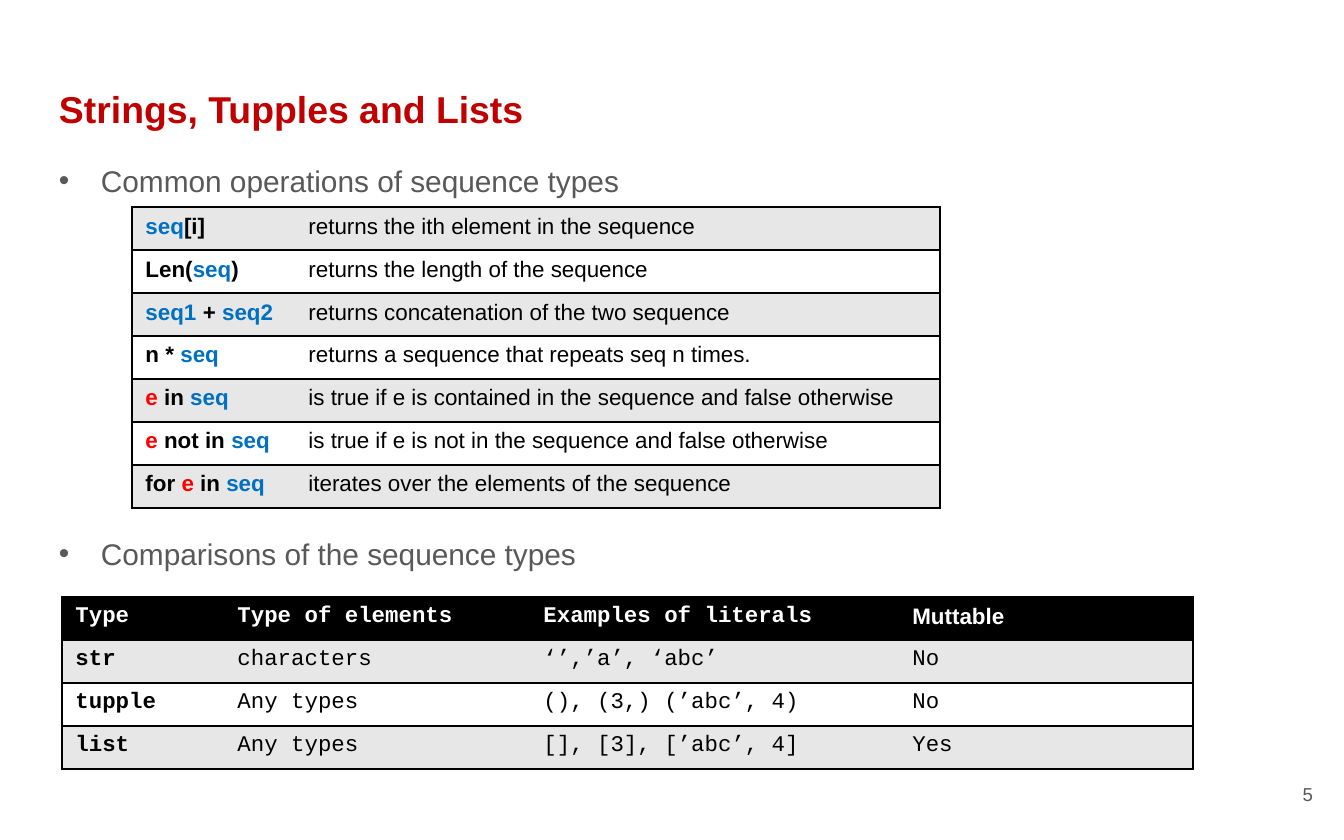
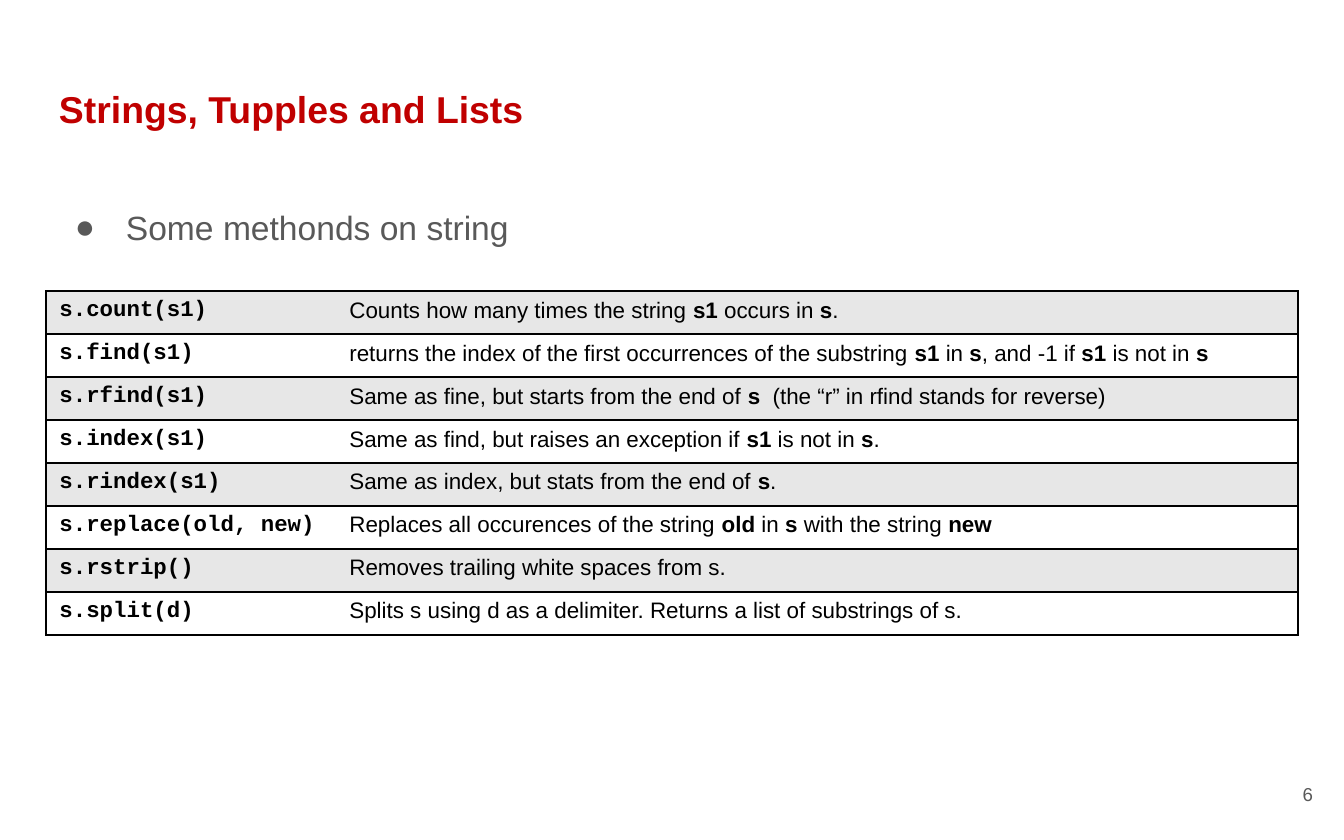
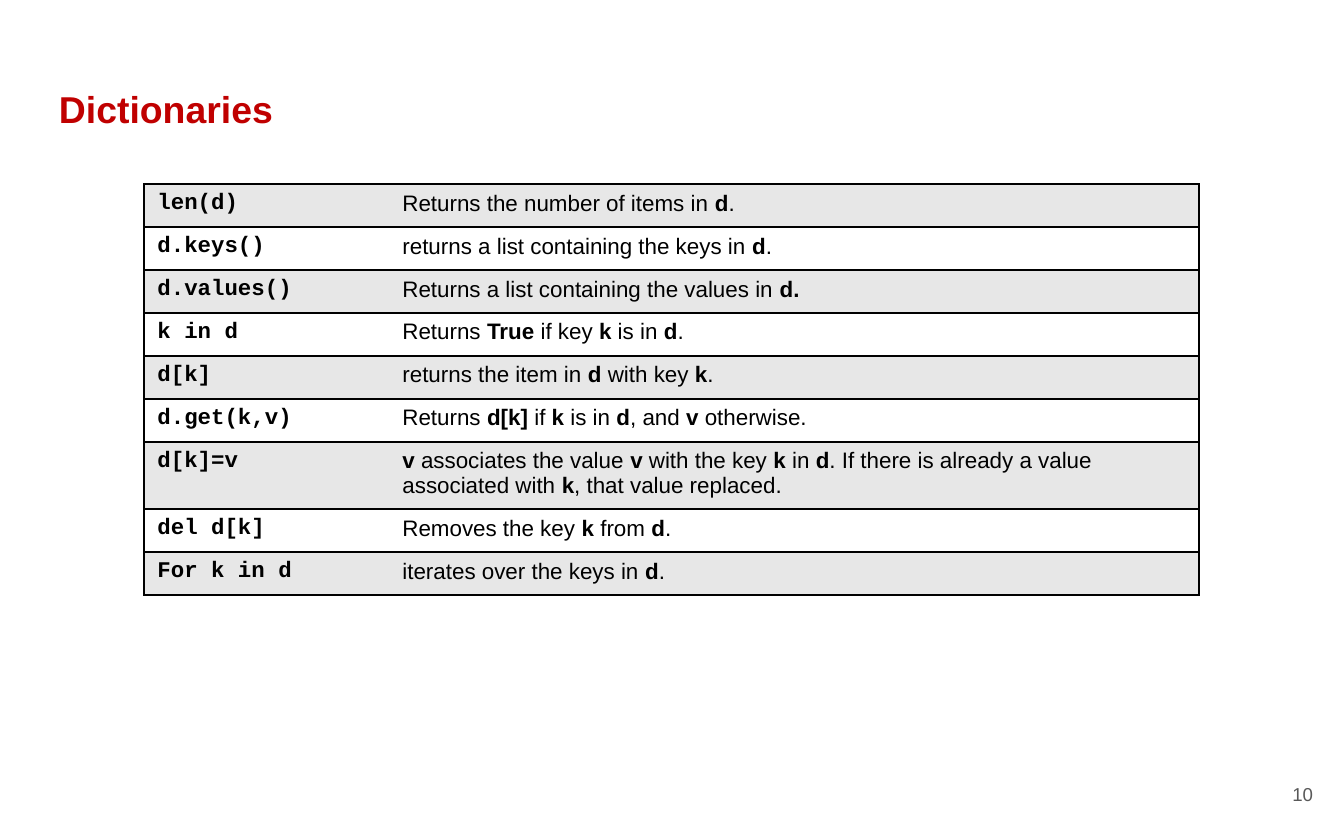
from pptx import Presentation
from pptx.dml.color import RGBColor
from pptx.enum.text import MSO_ANCHOR, PP_ALIGN
from pptx.oxml.ns import qn
from pptx.util import Pt
from lxml import etree

TOP, MIDDLE = MSO_ANCHOR.TOP, MSO_ANCHOR.MIDDLE
LEFT, RIGHT = PP_ALIGN.LEFT, PP_ALIGN.RIGHT
SANS, CODE = "Arial", "Courier New"
HEX = {"title": "C00000", "gray": "595959", "ink": "000000", "blue": "0070C0",
       "red": "FF0000", "band": "E7E7E7", "white": "FFFFFF"}
SCALE = 914400 / 134.4
ROW, INSET = 43, 13

# Text between bars is marked: bold in prose, coloured in a key, sans in a header.
SEQ = {"at": (132, 207), "cols": (163, 645), "code": 0, "rows": [
    ("|seq|[i]", "returns the ith element in the sequence"),
    ("Len(|seq|)", "returns the length of the sequence"),
    ("|seq1 |+ |seq2|", "returns concatenation of the two sequence"),
    ("n * |seq|", "returns a sequence that repeats seq n times."),
    ("|e| in |seq|", "is true if e is contained in the sequence and false otherwise"),
    ("|e| not in |seq|", "is true if e is not in the sequence and false otherwise"),
    ("for |e| in |seq|", "iterates over the elements of the sequence"),
]}
TYPES = {"at": (62, 597), "cols": (162, 306, 369, 294), "code": 4, "head": True, "rows": [
    ("Type", "Type of elements", "Examples of literals", "|Muttable|"),
    ("str", "characters", "‘’,’a’, ‘abc’", "No"),
    ("tupple", "Any types", "(), (3,) (’abc’, 4)", "No"),
    ("list", "Any types", "[], [3], [’abc’, 4]", "Yes"),
]}
STRINGS = {"at": (46, 291), "cols": (290, 962), "code": 1, "rows": [
    ("s.count(s1)", "Counts how many times the string |s1| occurs in |s|."),
    ("s.find(s1)", "returns the index of the first occurrences of the substring "
                   "|s1| in |s|, and -1 if |s1| is not in |s|"),
    ("s.rfind(s1)", "Same as fine, but starts from the end of |s|  "
                    "(the “r” in rfind stands for reverse)"),
    ("s.index(s1)", "Same as find, but raises an exception if |s1| is not in |s|."),
    ("s.rindex(s1)", "Same as index, but stats from the end of |s|."),
    ("s.replace(old, new)", "Replaces all occurences of the string |old| in| s |"
                            "with the string |new|"),
    ("s.rstrip()", "Removes trailing white spaces from s."),
    ("s.split(d)", "Splits s using d as a delimiter. Returns a list of substrings of s."),
]}
DICTS = {"at": (144, 184), "cols": (245, 810), "code": 1, "tall": {6: 63}, "rows": [
    ("len(d)", "Returns the number of items in| d|."),
    ("d.keys()", "returns a list containing the keys in| d|."),
    ("d.values()", "Returns a list containing the values in |d.|"),
    ("k in d", "Returns |True| if key |k| is in |d|."),
    ("d[k]", "returns the item in |d| with key |k|."),
    ("d.get(k,v)", "Returns| d[k] |if |k| is in |d|, and |v| otherwise."),
    ("d[k]=v", "|v| associates the value |v| with the key |k| in |d|. If there is "
               "already a value associated with |k|, that value replaced."),
    ("del d[k]", "Removes the key |k| from |d|."),
    ("For k in d", "iterates over the keys in |d|."),
]}
SLIDES = [
    {"title": "Strings, Tupples and Lists", "page": "5", "tables": [SEQ, TYPES],
     "body": {"at": (46, 144, 1253, 656), "size": 16, "sign": "•", "left": 42,
              "hang": 42, "gap": 332,
              "lines": ["Common operations of sequence types",
                        "Comparisons of the sequence types"]}},
    {"title": "Strings, Tupples and Lists", "page": "6", "tables": [STRINGS],
     "body": {"at": (46, 188, 1253, 558), "size": 18, "sign": "●", "left": 67,
              "hang": 51, "gap": 0, "lines": ["Some methonds on string"]}},
    {"title": "Dictionaries", "page": "10", "tables": [DICTS]},
]


def px(n):
    return round(n * SCALE)


def add_run(para, text, size, color, bold=False, font=SANS):
    run = para.add_run()
    run.text = text
    run.font.size, run.font.bold, run.font.name = Pt(size), bold, font
    run.font.color.rgb = RGBColor.from_string(HEX[color])


def set_frame(shape, at, anchor):
    shape.left, shape.top, shape.width, shape.height = map(px, at)
    frame = shape.text_frame
    frame.word_wrap, frame.vertical_anchor = True, anchor
    frame.margin_left = frame.margin_right = px(INSET)
    frame.margin_top = frame.margin_bottom = px(INSET)
    return frame


def add_text(slide, at, anchor=TOP):
    return set_frame(slide.shapes.add_textbox(0, 0, 0, 0), at, anchor)


def add_body(slide, body):
    frame = add_text(slide, body["at"])
    for i, line in enumerate(body["lines"]):
        para = frame.add_paragraph() if i else frame.paragraphs[0]
        para.line_spacing = 1.15
        if i:
            para.space_before = px(body["gap"])
        props = para._p.get_or_add_pPr()
        props.set("marL", str(px(body["left"])))
        props.set("indent", str(-px(body["hang"])))
        tint = etree.SubElement(props, qn("a:buClr"))
        etree.SubElement(tint, qn("a:srgbClr"), val=HEX["gray"])
        etree.SubElement(props, qn("a:buFont"), typeface=SANS)
        etree.SubElement(props, qn("a:buChar"), char=body["sign"])
        add_run(para, line, body["size"], "gray")


def set_edges(cell, first, last):
    props = cell._tc.get_or_add_tcPr()
    for side, shown in (("L", first), ("R", last), ("T", True), ("B", True)):
        edge = etree.SubElement(props, qn("a:ln" + side), w=str(Pt(1)))
        if shown:
            fill = etree.SubElement(edge, qn("a:solidFill"))
            etree.SubElement(fill, qn("a:srgbClr"), val=HEX["ink"])
        else:
            etree.SubElement(edge, qn("a:noFill"))


def fill_cell(cell, text, head, key, font):
    para = cell.text_frame.paragraphs[0]
    for i, part in enumerate(text.split("|")):
        if not part:
            continue
        mark = i % 2 == 1
        color = "white" if head else "ink"
        if mark and key and not head:
            color = "red" if part == "e" else "blue"
        face = SANS if mark and head else font
        add_run(para, part, 12, color, head or key or mark, face)


def add_grid(slide, data):
    rows, cols, tall = data["rows"], data["cols"], data.get("tall", {})
    highs = [tall.get(r, ROW) for r in range(len(rows))]
    size = (*data["at"], sum(cols), sum(highs))
    grid = slide.shapes.add_table(len(rows), len(cols), *map(px, size)).table
    grid.first_row = grid.horz_banding = False
    for c, width in enumerate(cols):
        grid.columns[c].width = px(width)
    for r, row in enumerate(rows):
        grid.rows[r].height = px(highs[r])
        head = r == 0 and data.get("head", False)
        odd = (r + data.get("head", False)) % 2
        shade = "ink" if head else "white" if odd else "band"
        for c, text in enumerate(row):
            cell = grid.cell(r, c)
            set_edges(cell, c == 0, c == len(cols) - 1)
            cell.fill.solid()
            cell.fill.fore_color.rgb = RGBColor.from_string(HEX[shade])
            fill_cell(cell, text, head, c == 0, CODE if c < data["code"] else SANS)


def add_slide(deck, data):
    slide = deck.slides.add_slide(deck.slide_layouts[5])
    para = set_frame(slide.shapes.title, (46, 73, 1253, 94), TOP).paragraphs[0]
    para.alignment = LEFT
    add_run(para, data["title"], 20, "title", True)
    if "body" in data:
        add_body(slide, data["body"])
    para = add_text(slide, (1246, 762, 80, 64), MIDDLE).paragraphs[0]
    para.alignment = RIGHT
    add_run(para, data["page"], 10, "gray")
    for table in data["tables"]:
        add_grid(slide, table)


def main():
    deck = Presentation()
    deck.slide_width, deck.slide_height = px(1344), px(840)
    for data in SLIDES:
        add_slide(deck, data)
    deck.save("out.pptx")


if __name__ == "__main__":
    main()
